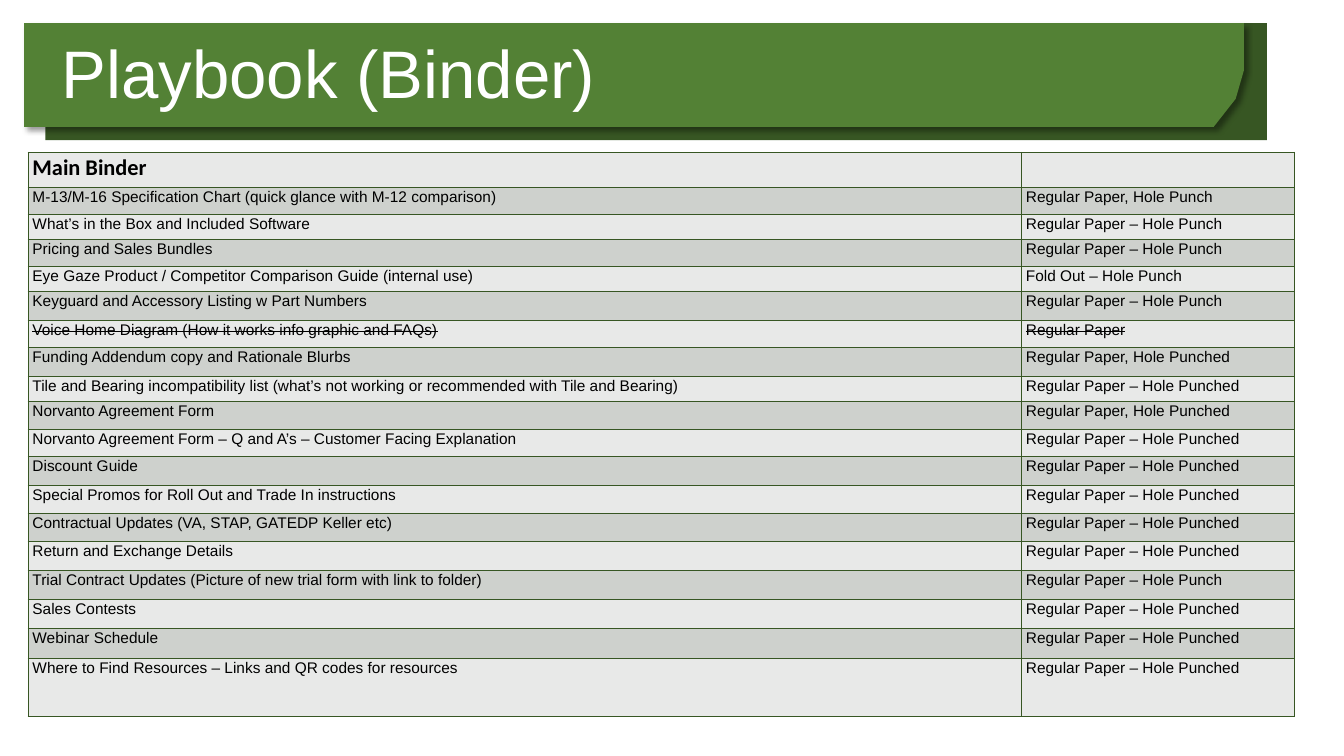
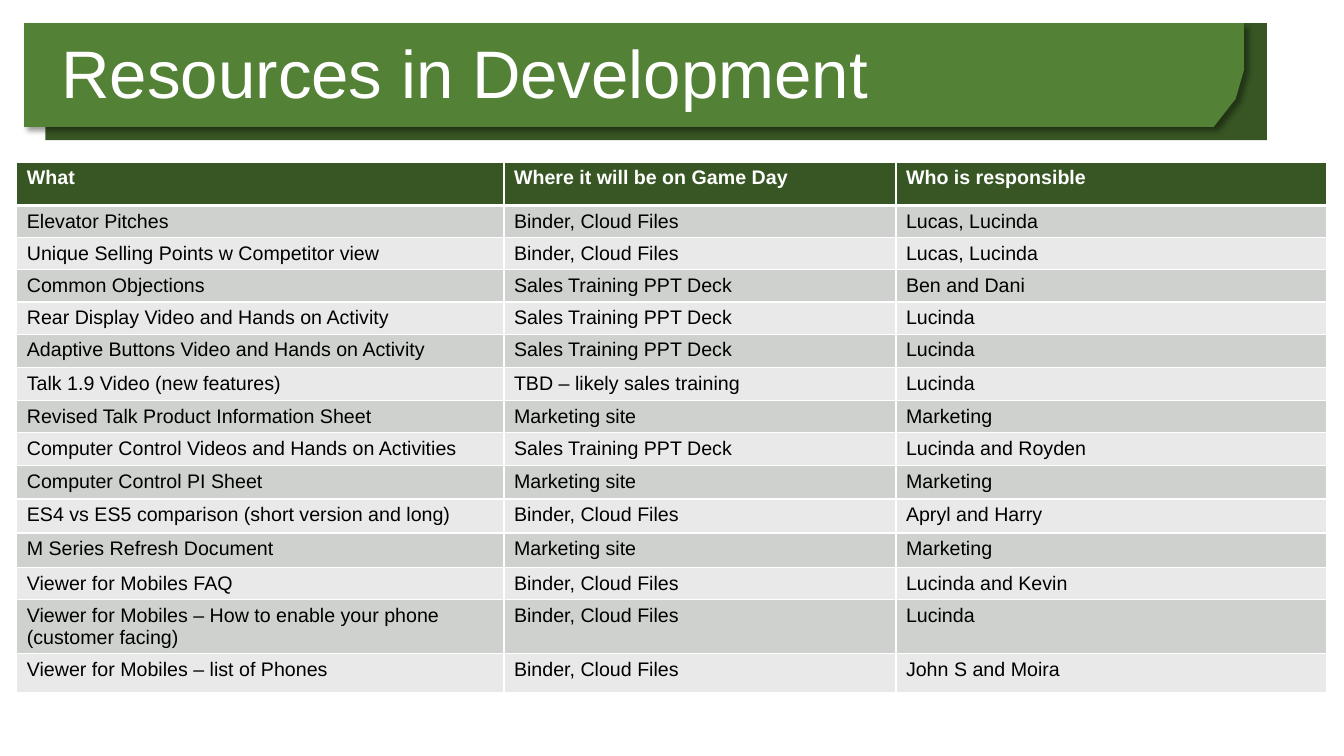
from dataclasses import dataclass

from pptx import Presentation
from pptx.dml.color import RGBColor as Color
from pptx.enum.shapes import MSO_SHAPE as Shape
from pptx.enum.text import MSO_ANCHOR as Anchor, MSO_AUTO_SIZE as AutoSize, PP_ALIGN as Align
from pptx.oxml import parse_xml
from pptx.oxml.ns import nsdecls, qn
from pptx.util import Pt


@dataclass(frozen=True)
class Theme:
    dark: str = "375623"
    green: str = "538135"
    white: str = "FFFFFF"
    black: str = "000000"
    light_row: str = "E8E9E8"
    shaded_row: str = "CED1CD"
    font: str = "Arial"
    heading_font: str = "Calibri"
    title_size: float = 48
    heading_size: float = 16
    listing_size: float = 11
    plan_size: float = 14


class Deck:
    """Holds the style and the current slide."""

    def __init__(self, theme):
        self.theme = theme
        self.file = Presentation()
        self.file.slide_width, self.file.slide_height = Pt(960), Pt(540)
        self.layout = self.file.slide_layouts.get_by_name("Title Only")
        self.page = None
        title = self.layout.placeholders[0]
        title.left, title.top, title.width, title.height = Pt(36.7), Pt(26), Pt(790.6), Pt(57)

    def add_page(self, title):
        first = self.page is None
        self.page = self.file.slides.add_slide(self.layout)
        if first:
            self.add_bands()
        frame = self.page.shapes.title.text_frame
        frame.text = title
        frame.word_wrap = True
        frame.auto_size = AutoSize.NONE
        frame.vertical_anchor = Anchor.MIDDLE
        para = frame.paragraphs[0]
        para.alignment = Align.LEFT
        para.line_spacing = 0.9
        self.style(para, self.theme.title_size, self.theme.white)

    def add_bands(self):
        """Draw the title bands and move them to the layout, behind its placeholders."""
        shapes = self.page.shapes
        back = shapes.add_shape(Shape.RECTANGLE, Pt(32.4), Pt(16.6), Pt(872.6), Pt(83.5))
        outline = [(888.5, 16.6), (888.5, 50.4), (882.7, 70.6), (866.9, 90.7), (17.3, 90.7)]
        builder = shapes.build_freeform(Pt(17.3), Pt(16.6), scale=1.0)
        builder.add_line_segments([(Pt(x), Pt(y)) for x, y in outline], close=True)
        front = builder.convert_to_shape()
        for index, (band, color) in enumerate([(back, self.theme.dark), (front, self.theme.green)]):
            band.fill.solid()
            band.fill.fore_color.rgb = Color.from_string(color)
            band.line.fill.background()
            band.shadow.inherit = False
            band.element.nvSpPr.cNvPr.set("id", str(20 + index))
            self.layout.shapes.element.insert(2 + index, band.element)
        front.element.spPr.find(qn("a:effectLst")).append(parse_xml(
            f'<a:outerShdw {nsdecls("a")} blurRad="{Pt(4)}" dist="{Pt(3)}" dir="2700000" algn="tl" '
            f'rotWithShape="0"><a:srgbClr val="{self.theme.black}"><a:alpha val="40000"/>'
            '</a:srgbClr></a:outerShdw>'))

    def style(self, para, size, color, bold=False, font=None):
        para.font.name = font or self.theme.font
        para.font.size = Pt(size)
        para.font.bold = bold
        para.font.color.rgb = Color.from_string(color)

    def add_table(self, left, top, widths, heights):
        table = self.page.shapes.add_table(
            len(heights), len(widths), Pt(left), Pt(top), Pt(sum(widths)), Pt(sum(heights))).table
        table.first_row = table.horz_banding = False
        for column, width in zip(table.columns, widths):
            column.width = Pt(width)
        for row, height in zip(table.rows, heights):
            row.height = Pt(height)
        return table

    def fill_cell(self, cell, text, fill, border, top=1, bottom=1):
        """Set text, borders and fill; return the paragraph for styling."""
        properties = cell._tc.get_or_add_tcPr()
        for side, width in (("L", 1), ("R", 1), ("T", top), ("B", bottom)):
            properties.append(parse_xml(
                f'<a:ln{side} {nsdecls("a")} w="{Pt(width)}"><a:solidFill>'
                f'<a:srgbClr val="{border}"/></a:solidFill></a:ln{side}>'))
        cell.fill.solid()
        cell.fill.fore_color.rgb = Color.from_string(fill)
        para = cell.text_frame.paragraphs[0]
        if text:
            para.text = text
        return para

    def add_listing(self, heading, items, heights, struck):
        """Bordered list of documents; items in struck are crossed out."""
        theme = self.theme
        table = self.add_table(20.2, 108.9, [709.6, 195.1], heights)
        for r, texts in enumerate([(heading, "")] + items):
            for c, text in enumerate(texts):
                cell = table.cell(r, c)
                fill = theme.shaded_row if r % 2 else theme.light_row
                para = self.fill_cell(cell, text, fill, theme.dark)
                cell.margin_left = cell.margin_right = Pt(3)
                cell.margin_top = cell.margin_bottom = 0
                para.line_spacing = 1.07
                if r == 0:
                    self.style(para, theme.heading_size, theme.black, True, theme.heading_font)
                else:
                    self.style(para, theme.listing_size, theme.black)
                if texts[0] in struck:
                    for span in para.runs:
                        span._r.get_or_add_rPr().set("strike", "sngStrike")

    def add_plan(self, header, items, heights):
        """Banded table with a dark header row."""
        theme = self.theme
        table = self.add_table(12, 115.7, [348, 280, 308], heights)
        for r, texts in enumerate([header] + items):
            fill = theme.dark if r == 0 else theme.shaded_row if r % 2 else theme.light_row
            top, bottom = 3 if r == 1 else 1, 3 if r == 0 else 1
            for c, text in enumerate(texts):
                para = self.fill_cell(table.cell(r, c), text, fill, theme.white, top, bottom)
                self.style(para, theme.plan_size, theme.black if r else theme.white, r == 0)


# Contents
PUNCH = "Regular Paper – Hole Punch"
PUNCHED = "Regular Paper – Hole Punched"
PUNCHED_COMMA = "Regular Paper, Hole Punched"
DIAGRAM = "Voice Home Diagram (How it works info graphic and FAQs)"
BINDER_ITEMS = [
    ("M-13/M-16 Specification Chart (quick glance with M-12 comparison)", "Regular Paper, Hole Punch"),
    ("What’s in the Box and Included Software", PUNCH),
    ("Pricing and Sales Bundles", PUNCH),
    ("Eye Gaze Product / Competitor Comparison Guide (internal use)", "Fold Out – Hole Punch"),
    ("Keyguard and Accessory Listing w Part Numbers", PUNCH),
    (DIAGRAM, "Regular Paper"),
    ("Funding Addendum copy and Rationale Blurbs", PUNCHED_COMMA),
    ("Tile and Bearing incompatibility list (what’s not working or recommended with Tile and Bearing)",
     PUNCHED),
    ("Norvanto Agreement Form", PUNCHED_COMMA),
    ("Norvanto Agreement Form – Q and A’s – Customer Facing Explanation", PUNCHED),
    ("Discount Guide", PUNCHED),
    ("Special Promos for Roll Out and Trade In instructions", PUNCHED),
    ("Contractual Updates (VA, STAP, GATEDP Keller etc)", PUNCHED),
    ("Return and Exchange Details", PUNCHED),
    ("Trial Contract Updates (Picture of new trial form with link to folder)", PUNCH),
    ("Sales Contests", PUNCHED),
    ("Webinar Schedule", PUNCHED),
    ("Where to Find Resources – Links and QR codes for resources", PUNCHED),
]
BINDER_HEIGHTS = [25, 19.3, 17.9, 19.3, 17.9, 20.7, 19.3, 20.7, 17.9, 20, 19.3, 20.7, 20, 20,
                  20.7, 20.7, 20.7, 21.4, 41.4]

DRIVE = "Binder, Cloud Files"
TRAINING = "Sales Training PPT Deck"
SITE = "Marketing site"
PLAN_HEADER = ("What", "Where it will be on Game Day", "Who is responsible")
PLAN_ITEMS = [
    ("Elevator Pitches", DRIVE, "Lucas, Lucinda"),
    ("Unique Selling Points w Competitor view", DRIVE, "Lucas, Lucinda"),
    ("Common Objections", TRAINING, "Ben and Dani"),
    ("Rear Display Video and Hands on Activity", TRAINING, "Lucinda"),
    ("Adaptive Buttons Video and Hands on Activity", TRAINING, "Lucinda"),
    ("Talk 1.9 Video (new features)", "TBD – likely sales training", "Lucinda"),
    ("Revised Talk Product Information Sheet", SITE, "Marketing"),
    ("Computer Control Videos and Hands on Activities", TRAINING, "Lucinda and Royden"),
    ("Computer Control PI Sheet", SITE, "Marketing"),
    ("ES4 vs ES5 comparison (short version and long)", DRIVE, "Apryl and Harry"),
    ("M Series Refresh Document", SITE, "Marketing"),
    ("Viewer for Mobiles FAQ", DRIVE, "Lucinda and Kevin"),
    ("Viewer for Mobiles – How to enable your phone (customer facing)", DRIVE, "Lucinda"),
    ("Viewer for Mobiles – list of Phones", DRIVE, "John S and Moira"),
]
PLAN_HEIGHTS = [31, 23, 23, 23, 23, 23.8, 23.8, 23, 23.5, 23.8, 24.3, 24.6, 23, 38.5, 28]


def main():
    deck = Deck(Theme())

    # Binder contents
    deck.add_page("Playbook (Binder)")
    deck.add_listing("Main Binder", BINDER_ITEMS, BINDER_HEIGHTS, {DIAGRAM})

    # Resource plan
    deck.add_page("Resources in Development")
    deck.add_plan(PLAN_HEADER, PLAN_ITEMS, PLAN_HEIGHTS)

    deck.file.save("out.pptx")


if __name__ == "__main__":
    main()
